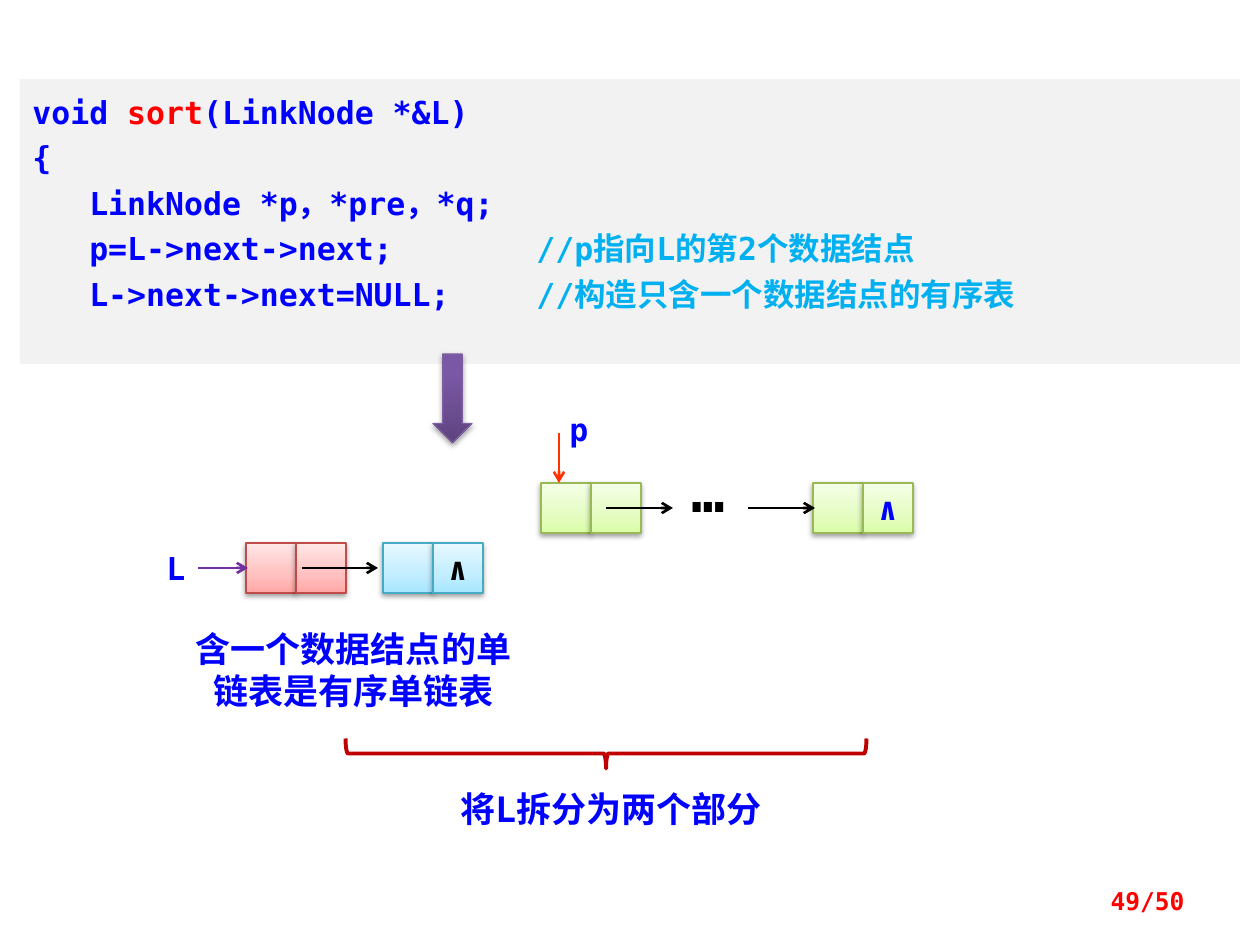
from lxml import etree
from pptx import Presentation
from pptx.dml.color import RGBColor
from pptx.enum.shapes import MSO_CONNECTOR, MSO_SHAPE
from pptx.enum.text import MSO_ANCHOR, PP_ALIGN
from pptx.oxml import parse_xml
from pptx.oxml.ns import nsdecls, qn
from pptx.util import Inches, Pt

PX = 7257  # EMU in one pixel, at 126 pixels to the inch
MONO, CJK = "DejaVu Sans Mono", "Noto Sans CJK SC"
BLUE, SKY, RED, BLACK = "0000FF", "00B0F0", "FF0000", "000000"
color = RGBColor.from_string


def write(para, text, ink, size=18, font=MONO):
    """Add one bold run, with the CJK face for Chinese characters."""
    span = para.add_run()
    span.text = text
    span.font.name = font
    span.font.size = Pt(size)
    span.font.bold = True
    span.font.color.rgb = color(ink)
    east_asian = etree.SubElement(span._r.get_or_add_rPr(), qn("a:ea"))
    east_asian.set("typeface", CJK)


def shade(shape, stops, outline, opacity):
    """Give a shape an upward gradient, a thin outline and a soft shadow."""
    shape.line.color.rgb = color(outline)
    shape.line.width = Pt(0.75)
    marks = "".join(
        f'<a:gs pos="{percent * 1000}"><a:srgbClr val="{tint}"/></a:gs>'
        for percent, tint in stops)
    gradient = parse_xml(
        f'<a:gradFill {nsdecls("a")} rotWithShape="1"><a:gsLst>{marks}</a:gsLst>'
        '<a:lin ang="16200000" scaled="0"/></a:gradFill>')
    shape._element.spPr.find(qn("a:prstGeom")).addnext(gradient)
    shape._element.spPr.append(parse_xml(
        f'<a:effectLst {nsdecls("a")}><a:outerShdw blurRad="{Pt(3.1)}" '
        f'dist="{Pt(1.6)}" dir="5400000" rotWithShape="0"><a:srgbClr val="000000">'
        f'<a:alpha val="{opacity * 1000}"/></a:srgbClr></a:outerShdw></a:effectLst>'))


deck = Presentation()
deck.slide_width, deck.slide_height = Inches(10), Inches(7.5)
page = deck.slides.add_slide(deck.slide_layouts[6])
shapes = page.shapes

# Code panel
panel = shapes.add_shape(MSO_SHAPE.RECTANGLE, 20 * PX, 79 * PX, 1220 * PX, 285 * PX)
panel.shadow.inherit = False
panel.fill.solid()
panel.fill.fore_color.rgb = color("F2F2F2")
panel.line.fill.background()
frame = panel.text_frame
frame.word_wrap = True
frame.vertical_anchor = MSO_ANCHOR.TOP
code = [
    [("void ", BLUE), ("sort", RED), ("(LinkNode *&L)", BLUE)],
    [("{", BLUE)],
    [("   LinkNode *p，*pre，*q;", BLUE)],
    [("   p=L->next->next;\t\t", BLUE), ("//p指向L的第2个数据结点", SKY)],
    [("   L->next->next=NULL;\t", BLUE), ("//构造只含一个数据结点的有序表", SKY)],
]
for number, line in enumerate(code):
    para = frame.add_paragraph() if number else frame.paragraphs[0]
    para.alignment = PP_ALIGN.LEFT
    para.line_spacing = Pt(26)
    para._p.get_or_add_pPr().set("defTabSz", str(Inches(1)))
    for text, ink in line:
        write(para, text, ink)

# List nodes, each made of a data cell and a link cell
CELL = 50
PINK = ("FFA6A5", "FFC0BF", "FFE7E7"), "BF4C48"
AQUA = ("A7E6FF", "C1EDFF", "E7F8FF"), "46AAC5"
LIME = ("DAFDA7", "E4FCC2", "F5FFE7"), "98B955"
nodes = [
    (246, 543, PINK, "", BLACK),
    (383, 543, AQUA, "∧", BLACK),
    (541, 483, LIME, "", BLUE),
    (813, 483, LIME, "∧", BLUE),
]
for left, top, (tints, outline), link, ink in nodes:
    for column, text in enumerate(("", link)):
        cell = shapes.add_shape(MSO_SHAPE.RECTANGLE, (left + column * CELL) * PX,
                                top * PX, CELL * PX, CELL * PX)
        shade(cell, zip((0, 35, 100), tints), outline, 38)
        if text:
            cell.text_frame.word_wrap = False
            cell.text_frame.vertical_anchor = MSO_ANCHOR.MIDDLE
            para = cell.text_frame.paragraphs[0]
            para.alignment = PP_ALIGN.CENTER
            write(para, text, ink)

# Pointers
pointers = [
    (198, 568, 248, 568, "7030A0"),
    (302, 568, 378, 568, BLACK),
    (606, 508, 673, 508, BLACK),
    (748, 508, 815, 508, BLACK),
    (559, 433, 559, 483, "FF3300"),
]
for x1, y1, x2, y2, ink in pointers:
    arrow = shapes.add_connector(MSO_CONNECTOR.STRAIGHT,
                                 x1 * PX, y1 * PX, x2 * PX, y2 * PX)
    arrow.line.color.rgb = color(ink)
    arrow.line.width = Pt(1.5)
    etree.SubElement(arrow.line._get_or_add_ln(), qn("a:tailEnd")).set("type", "arrow")
    etree.SubElement(arrow._element.spPr, qn("a:effectLst"))

# Step arrow and brace
step = shapes.add_shape(MSO_SHAPE.DOWN_ARROW, 433 * PX, 354 * PX, 39 * PX, 89 * PX)
shade(step, [(0, "5F4480"), (80, "7B58A6"), (100, "7C57A8")], "7D60A0", 35)

brace = shapes.add_shape(MSO_SHAPE.RIGHT_BRACE, 591 * PX, 493 * PX, 30 * PX, 521 * PX)
brace.rotation = 90
brace.shadow.inherit = False
brace.fill.background()
brace.line.color.rgb = color("C00000")
brace.line.width = Pt(2.25)

# Labels, captions and page number
LEFT, CENTER, RIGHT = PP_ALIGN.LEFT, PP_ALIGN.CENTER, PP_ALIGN.RIGHT
labels = [
    (154, 543, 77, 50, "L", BLUE, 18, MONO, LEFT),
    (557, 404, 49, 50, "p", BLUE, 18, MONO, LEFT),
    (679, 450, 63, 79, "…", BLACK, 32, MONO, LEFT),
    (177, 621, 353, 97, "含一个数据结点的单链表是有序单链表", BLUE, 20, CJK, CENTER),
    (434, 781, 354, 55, "将L拆分为两个部分", BLUE, 20, MONO, CENTER),
    (903, 876, 294, 50, "49/50", RED, 14, MONO, RIGHT),
]
for left, top, width, height, text, ink, size, font, align in labels:
    box = shapes.add_textbox(left * PX, top * PX, width * PX, height * PX)
    box.text_frame.word_wrap = True
    box.text_frame.vertical_anchor = MSO_ANCHOR.MIDDLE if align == RIGHT else MSO_ANCHOR.TOP
    para = box.text_frame.paragraphs[0]
    para.alignment = align
    write(para, text, ink, size, font)

deck.save("out.pptx")
